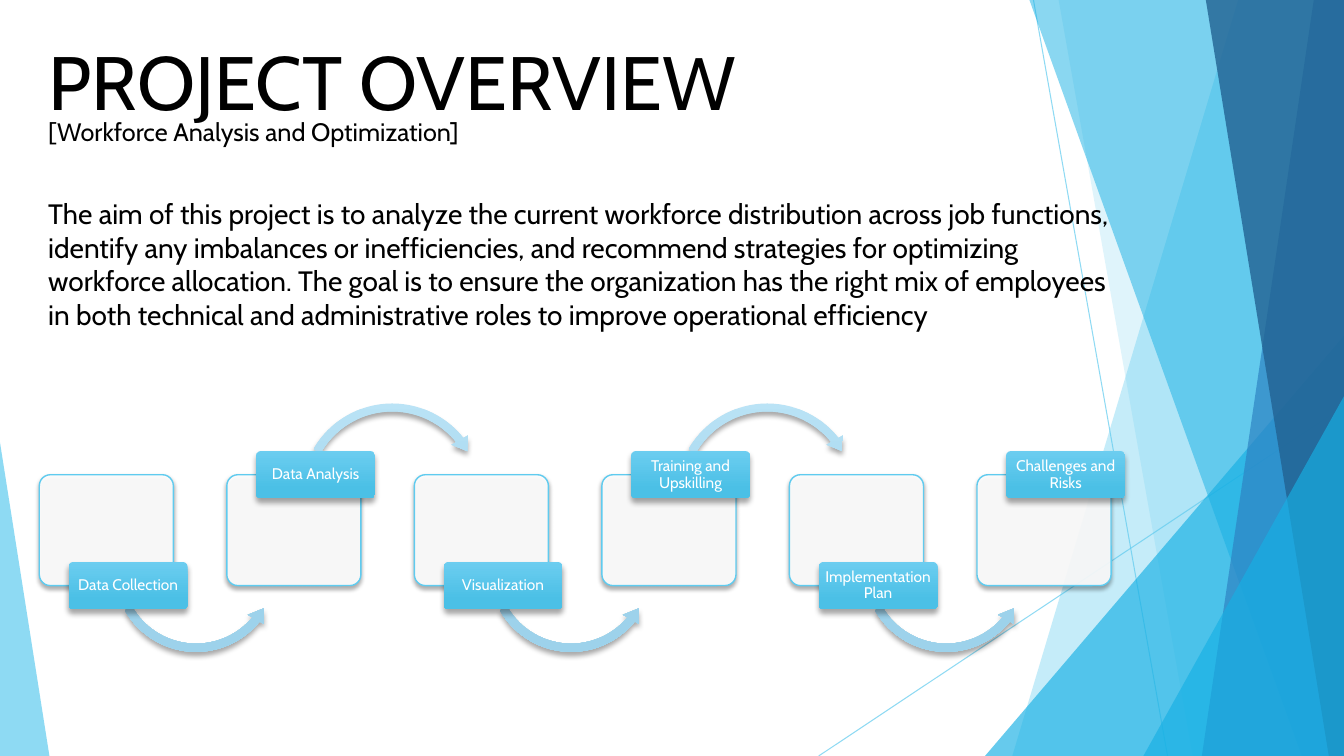
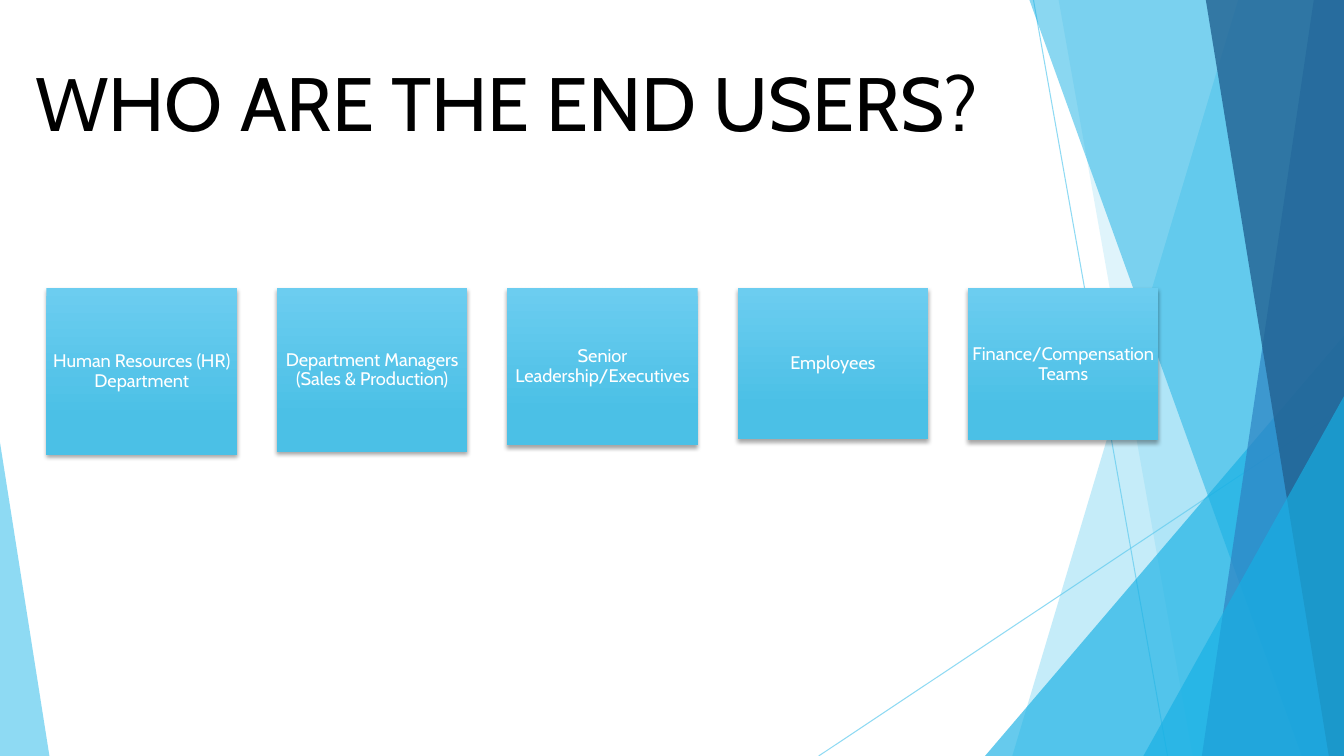
from lxml.etree import SubElement
from pptx import Presentation
from pptx.dml.color import RGBColor
from pptx.enum.shapes import MSO_CONNECTOR, MSO_SHAPE
from pptx.enum.text import MSO_ANCHOR, PP_ALIGN
from pptx.oxml.ns import qn
from pptx.util import Inches, Pt

LINE = MSO_CONNECTOR.STRAIGHT
RECT = MSO_SHAPE.RECTANGLE
ROUND = MSO_SHAPE.ROUNDED_RECTANGLE
WEDGE = MSO_SHAPE.ISOSCELES_TRIANGLE
ARC_UP = MSO_SHAPE.CIRCULAR_ARROW
ARC_DOWN = MSO_SHAPE.LEFT_CIRCULAR_ARROW
MIDDLE = MSO_ANCHOR.MIDDLE
TOP = MSO_ANCHOR.TOP
LEFT = PP_ALIGN.LEFT
CENTER = PP_ALIGN.CENTER

WIDE, HIGH = 13.33, 7.5
FONT = "Cabin"
BLACK, WHITE = "000000", "FFFFFF"
SKY, AZURE, BLUE, NAVY = "5FCBEF", "17B0E4", "2E83C3", "226292"
TILE = ("6CCDF0", "4BC0E6")
ARC = ("BAE3F6", "9DD2EB")

STEPS = ["Data Collection", "Data Analysis", "Visualization",
         "Training and Upskilling", "Implementation Plan",
         "Challenges and Risks"]
STEP_X, STEP_GAP = 0.39, 1.86
CARD_Y, CARD_W, CARD_H = 4.71, 1.33, 1.1
TAG_W, TAG_H = 1.18, 0.47

USERS = [("Human Resources (HR) Department", 1.65),
         ("Department Managers (Sales & Production)", 1.62),
         ("Senior Leadership/Executives", 1.56),
         ("Employees", 1.5),
         ("Finance/Compensation Teams", 1.51)]
USER_X, USER_GAP, USER_Y, USER_W = 0.46, 2.285, 2.86, 1.89

AIM = ("The aim of this project is to analyze the current workforce "
       "distribution across job functions, identify any imbalances or "
       "inefficiencies, and recommend strategies for optimizing workforce "
       "allocation. The goal is to ensure the organization has the right mix "
       "of employees in both technical and administrative roles to improve "
       "operational efficiency")


def color(code):
    return RGBColor.from_string(code)


def fade(shape, share):
    """Make the first colour of a shape, its fill or only line, see-through."""
    tint = shape._element.spPr.find(".//" + qn("a:srgbClr"))
    SubElement(tint, qn("a:alpha"), val=str(share * 1000))


def fill(shape, code, share):
    shape.fill.solid()
    shape.fill.fore_color.rgb = color(code)
    fade(shape, share)
    shape.line.fill.background()
    shape.shadow.inherit = False


def blend(shape, pair):
    """Fill from top to bottom with two colours."""
    shape.fill.gradient()
    shape.fill.gradient_angle = 270
    for stop, code, place in zip(shape.fill.gradient_stops, pair, (0, 0.78)):
        stop.color.rgb = color(code)
        stop.position = place
    shape.line.fill.background()


def shade(shape, blur, drop):
    """Cast a soft shadow straight down."""
    shape.shadow.inherit = False
    list_ = shape._element.spPr.find(qn("a:effectLst"))
    cast = SubElement(list_, qn("a:outerShdw"), blurRad=str(Pt(blur)),
                      dist=str(Pt(drop)), dir="5400000", rotWithShape="0")
    tint = SubElement(cast, qn("a:srgbClr"), val=BLACK)
    SubElement(tint, qn("a:alpha"), val="35000")


def shape_at(slide, kind, x, y, w, h, adjust=()):
    shape = slide.shapes.add_shape(
        kind, Inches(x), Inches(y), Inches(w), Inches(h))
    for i, value in enumerate(adjust):
        shape.adjustments[i] = value
    return shape


def write(shape, words, size, code=BLACK, align=LEFT, anchor=TOP, inset=None):
    frame = shape.text_frame
    frame.word_wrap = True
    frame.vertical_anchor = anchor
    if inset is not None:
        frame.margin_left = frame.margin_right = Inches(inset)
        frame.margin_top = frame.margin_bottom = Inches(inset)
    para = frame.paragraphs[0]
    para.alignment = align
    if align == CENTER:
        para.line_spacing = 0.9
    run = para.add_run()
    run.text = words
    run.font.name = FONT
    run.font.size = Pt(size)
    run.font.color.rgb = color(code)


def text(slide, words, size, x, y, w, h):
    box = slide.shapes.add_textbox(Inches(x), Inches(y), Inches(w), Inches(h))
    write(box, words, size)


def title(slide, words, x, y, w):
    text(slide, words, 54, x, y, w, 1.01)


def tile(slide, kind, words, size, x, y, w, h, inset, cast, adjust=()):
    shape = shape_at(slide, kind, x, y, w, h, adjust)
    blend(shape, TILE)
    shade(shape, *cast)
    write(shape, words, size, WHITE, CENTER, MIDDLE, inset)


def line(slide, x1, y1, x2, y2):
    rule = slide.shapes.add_connector(
        LINE, Inches(x1), Inches(y1), Inches(x2), Inches(y2))
    rule.line.color.rgb = color(SKY)
    rule.line.width = Pt(0.75)
    fade(rule, 70)
    SubElement(rule._element.spPr, qn("a:effectLst"))


def band(slide, head, foot, code, share):
    """Fill from a slanted edge to the right side of the slide."""
    path_ = slide.shapes.build_freeform(Inches(head), 0)
    path_.add_line_segments(
        [(Inches(x), Inches(y)) for x, y in
         ((WIDE, 0), (WIDE, HIGH), (foot, HIGH))])
    fill(path_.convert_to_shape(), code, share)


def wedge(slide, x, w, h, tip, code, share):
    """Stand a right triangle on the foot of the slide."""
    fill(shape_at(slide, WEDGE, x, HIGH - h, w, h, [tip]), code, share)


def decor(slide):
    line(slide, 10.25, 0, 11.58, HIGH)
    line(slide, WIDE, 4.03, 8.12, HIGH)
    band(slide, 12.28, 10.04, SKY, 36)
    band(slide, 10.5, 11.83, SKY, 20)
    wedge(slide, 9.77, 3.56, 4.17, 1, AZURE, 66)
    band(slide, 10.21, 12.91, AZURE, 50)
    band(slide, 13.03, 11.92, BLUE, 70)
    band(slide, 11.96, 13.18, NAVY, 80)
    wedge(slide, 11.34, 1.99, 3.57, 1, AZURE, 66)
    wedge(slide, 0, 0.49, 3.11, 0, SKY, 70)


def card(slide, x):
    shape = shape_at(slide, ROUND, x, CARD_Y, CARD_W, CARD_H, [0.1])
    fill(shape, WHITE, 90)
    shape.line.color.rgb = color(SKY)
    shape.line.width = Pt(1)
    shade(shape, 3, 2)


def arc(slide, x, high):
    """Lead on to the next step, over or under the cards."""
    if high:
        shape = shape_at(slide, ARC_UP, x + 0.69, 3.95, 1.9, 1.9,
                         (0.042, 5.358, 192.887, 125.755, 0.049))
    else:
        shape = shape_at(slide, ARC_DOWN, x + 0.69, 4.79, 1.73, 1.73,
                         (0.047, 5.946, 23.701, 90.245, 0.054))
    blend(shape, ARC)
    shade(shape, 4, 3)


def flow(slide):
    for i, words in enumerate(STEPS):
        x = STEP_X + i * STEP_GAP
        high = i % 2 == 1
        edge = CARD_Y if high else CARD_Y + CARD_H
        card(slide, x)
        if i < len(STEPS) - 1:
            arc(slide, x, high)
        tile(slide, ROUND, words, 11, x + 0.29, edge - TAG_H / 2,
             TAG_W, TAG_H, 0.02, (4, 3), [0.1])


def users(slide):
    for i, (words, h) in enumerate(USERS):
        tile(slide, RECT, words, 13, USER_X + i * USER_GAP, USER_Y,
             USER_W, h, 0.01, (3, 2))


def main():
    deck = Presentation()
    deck.slide_width, deck.slide_height = Inches(WIDE), Inches(HIGH)
    plan, crowd = [deck.slides.add_slide(deck.slide_layouts[6])
                   for _ in range(2)]
    for slide in (plan, crowd):
        decor(slide)

    title(plan, "PROJECT OVERVIEW", 0.38, 0.3, 7.81)
    text(plan, "[Workforce Analysis and Optimization]", 18,
         0.38, 1.11, 8.54, 0.4)
    flow(plan)
    text(plan, AIM, 20, 0.38, 1.9, 10.96, 1.78)

    title(crowd, "WHO ARE THE END USERS?", 0.25, 0.51, 9.7)
    users(crowd)
    deck.save("out.pptx")


if __name__ == "__main__":
    main()
